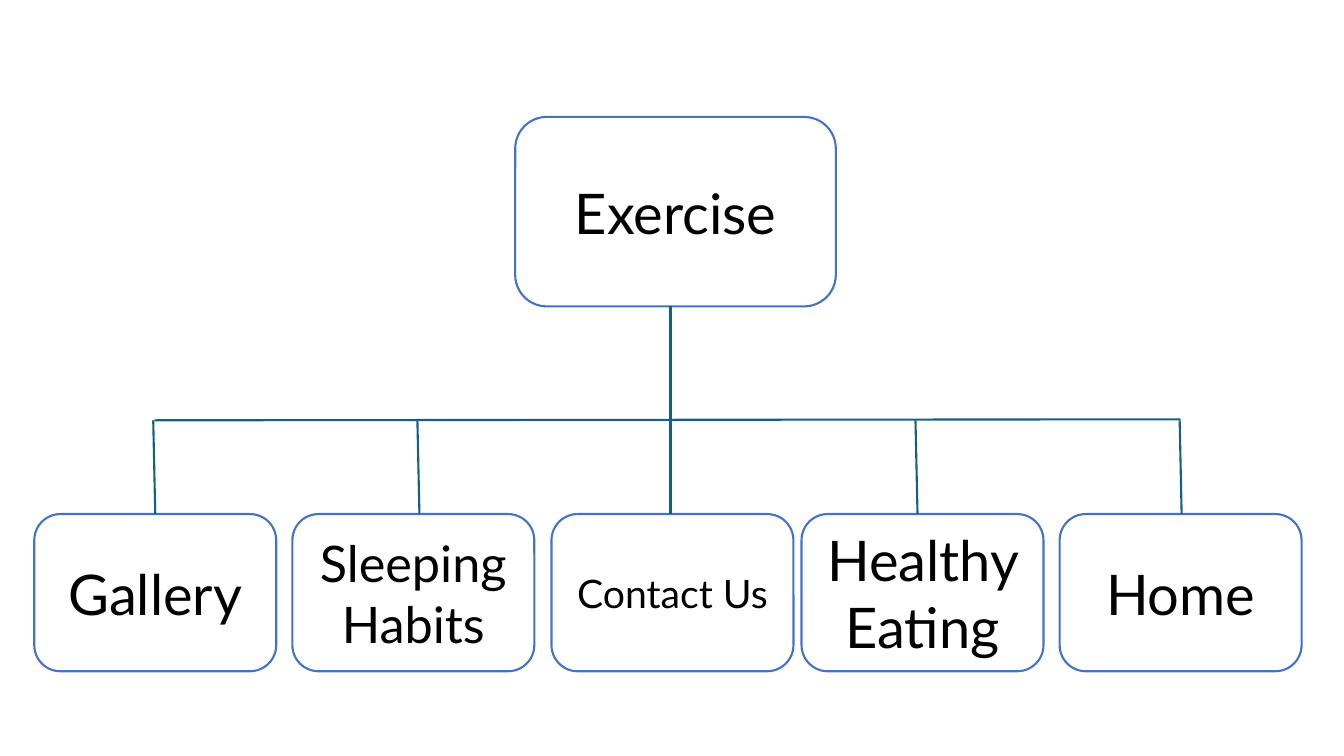
from lxml.etree import SubElement
from pptx import Presentation
from pptx.dml.color import RGBColor
from pptx.enum.shapes import MSO_CONNECTOR, MSO_SHAPE
from pptx.enum.text import MSO_ANCHOR, PP_ALIGN
from pptx.oxml.ns import qn
from pptx.util import Inches, Pt

COLORS = {"fill": "FFFFFF", "border": "4472C4", "branch": "156082", "text": "000000"}
FONT = "Lato"
LINE_WIDTH = 1.5

ROOT = ("Exercise", 40, 5.11, 1.16, 3.18, 1.88)
CHILDREN = [
    ("Gallery", 40, 0.34),
    ("Sleeping Habits", 36, 2.9),
    ("Contact Us", 28, 5.47),
    ("Healthy Eating", 40, 7.95),
    ("Home", 40, 10.51),
]
CHILD_TOP, CHILD_WIDTH, CHILD_HEIGHT = 5.1, 2.4, 1.56

TRUNK_X = 6.65
BAR_Y = 4.17
BAR_ENDS = (1.53, 11.71)
DROP_STARTS = [1.52, 4.14, 9.08, 11.7]
DROP_SLANT = 0.02


def color(name):
    return RGBColor.from_string(COLORS[name])


def add_box(page, label, size, left, top, width, height):
    box = page.shapes.add_shape(
        MSO_SHAPE.ROUNDED_RECTANGLE, *map(Inches, (left, top, width, height))
    )
    box.shadow.inherit = False
    box.fill.solid()
    box.fill.fore_color.rgb = color("fill")
    box.line.color.rgb = color("border")
    box.line.width = Pt(LINE_WIDTH)
    frame = box.text_frame
    frame.word_wrap = True
    frame.vertical_anchor = MSO_ANCHOR.MIDDLE
    para = frame.paragraphs[0]
    para.alignment = PP_ALIGN.CENTER
    span = para.add_run()
    span.text = label
    for name, value in {"name": FONT, "size": Pt(size)}.items():
        setattr(span.font, name, value)
    span.font.color.rgb = color("text")


def add_branch(page, *ends):
    branch = page.shapes.add_connector(MSO_CONNECTOR.STRAIGHT, *map(Inches, ends))
    branch.line.color.rgb = color("branch")
    branch.line.width = Pt(LINE_WIDTH)
    SubElement(branch.element.spPr, qn("a:effectLst"))


def main():
    deck = Presentation()
    deck.slide_width, deck.slide_height = Inches(13.33), Inches(7.5)
    page = deck.slides.add_slide(deck.slide_layouts[6])

    add_box(page, *ROOT)
    for label, size, left in CHILDREN:
        add_box(page, label, size, left, CHILD_TOP, CHILD_WIDTH, CHILD_HEIGHT)

    root_bottom = ROOT[3] + ROOT[5]
    add_branch(page, TRUNK_X, root_bottom, TRUNK_X, CHILD_TOP)
    add_branch(page, BAR_ENDS[0], BAR_Y, BAR_ENDS[1], BAR_Y - 0.01)
    for start in DROP_STARTS:
        add_branch(page, start, BAR_Y, start + DROP_SLANT, CHILD_TOP)

    deck.save("out.pptx")


if __name__ == "__main__":
    main()
